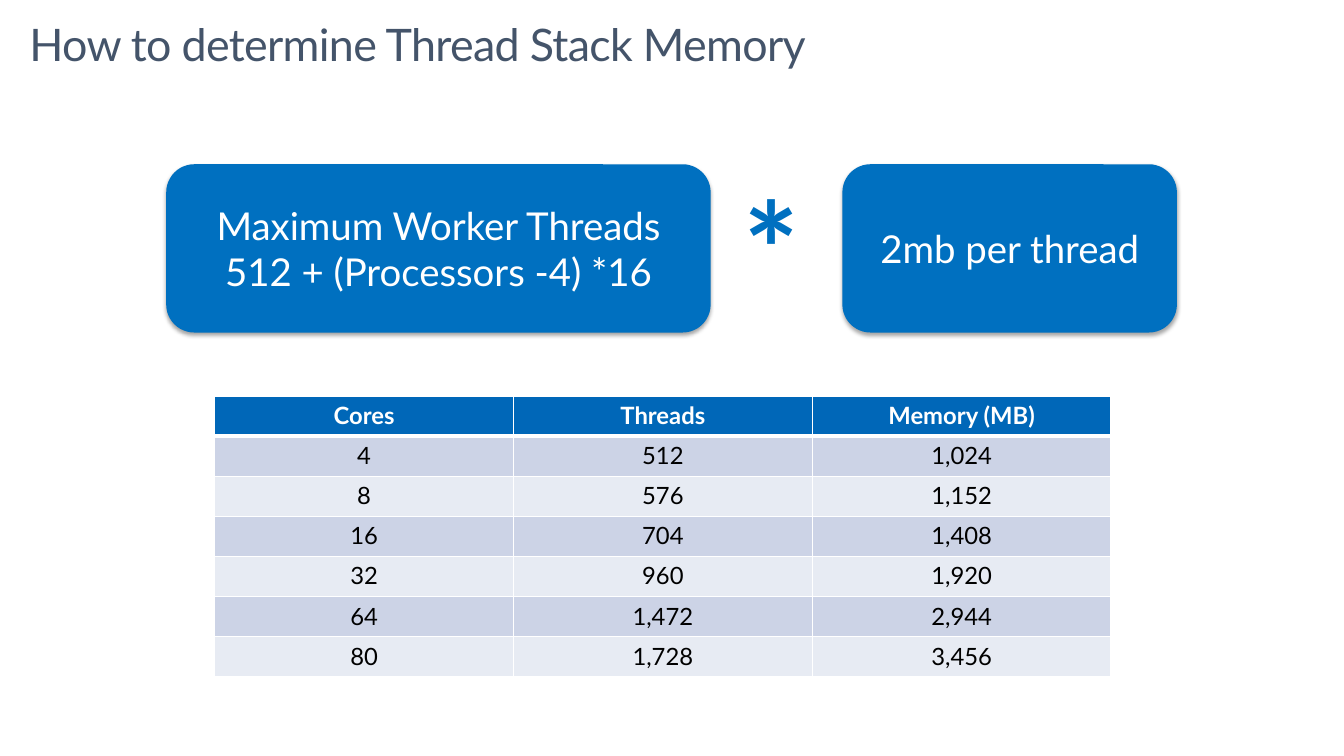
from pptx import Presentation
from pptx import util as u
from pptx.dml.color import RGBColor
from pptx.enum import shapes, text
from pptx.oxml import parse_xml
from pptx.oxml.ns import nsdecls, qn

TITLE_GREY = RGBColor(0x44, 0x54, 0x6A)
BOX_BLUE = RGBColor(0x00, 0x70, 0xC0)
HEADER_BLUE = RGBColor(0x00, 0x67, 0xB8)
BAND_DARK = RGBColor(0xCC, 0xD3, 0xE6)
BAND_LIGHT = RGBColor(0xE7, 0xEB, 0xF3)
WHITE = RGBColor(0xFF, 0xFF, 0xFF)
BLACK = RGBColor(0x00, 0x00, 0x00)

FONT = "Lato"
CENTER = text.PP_ALIGN.CENTER
HEADERS = ("Cores", "Threads", "Memory (MB)")
CORES = (4, 8, 16, 32, 64, 80)
BASE_THREADS, BASE_CORES, THREADS_PER_CORE, MB_PER_THREAD = 512, 4, 16, 2


def apply_format(target, values):
    for name, value in values.items():
        setattr(target, name, value)


def write_lines(frame, lines, size, color, bold=False, align=CENTER):
    for index, line in enumerate(lines):
        para = frame.add_paragraph() if index else frame.paragraphs[0]
        para.alignment = align
        span = para.add_run()
        span.text = line
        apply_format(span.font, {"name": FONT, "size": u.Pt(size), "bold": bold})
        span.font.color.rgb = color


def format_title(page, wording):
    title = page.shapes.title
    apply_format(title, {"left": u.Cm(0.74), "top": u.Cm(0.51),
                         "width": u.Cm(32.39), "height": u.Cm(2.49)})
    frame = title.text_frame
    apply_format(frame, {"margin_left": 0, "margin_top": 0, "margin_right": 0,
                         "margin_bottom": 0, "word_wrap": True,
                         "vertical_anchor": text.MSO_ANCHOR.TOP})
    write_lines(frame, [wording], 32, TITLE_GREY, align=text.PP_ALIGN.LEFT)
    para = frame.paragraphs[0]
    para.line_spacing = u.Pt(36.2)
    para.runs[0]._r.get_or_add_rPr().set("spc", "-50")


def add_soft_shadow(shape):
    shape.shadow.inherit = False
    effects = shape._element.spPr.find(qn("a:effectLst"))
    effects.append(parse_xml(
        f'<a:outerShdw {nsdecls("a")} blurRad="{u.Pt(3.1)}" dist="{u.Pt(1.8)}" '
        'dir="5400000" algn="t" rotWithShape="0"><a:srgbClr val="000000">'
        '<a:alpha val="35000"/></a:srgbClr></a:outerShdw>'))


def add_formula_box(page, left, width, lines):
    box = page.shapes.add_shape(shapes.MSO_SHAPE.ROUNDED_RECTANGLE, u.Cm(left),
                                u.Cm(4.14), u.Cm(width), u.Cm(4.24))
    box.fill.solid()
    box.fill.fore_color.rgb = BOX_BLUE
    box.line.fill.background()
    add_soft_shadow(box)
    apply_format(box.text_frame, {"word_wrap": True,
                                  "vertical_anchor": text.MSO_ANCHOR.MIDDLE})
    write_lines(box.text_frame, lines, 27.4, WHITE)


def add_multiply_sign(page):
    box = page.shapes.add_textbox(u.Cm(18.24), u.Cm(4.11), u.Cm(2.41), u.Cm(4.27))
    box.text_frame.word_wrap = True
    write_lines(box.text_frame, ["*"], 94.1, BOX_BLUE, bold=True)


def add_cell_borders(cell, widths):
    properties = cell._tc.get_or_add_tcPr()
    for side, width in widths.items():
        properties.append(parse_xml(
            f'<a:ln{side} {nsdecls("a")} w="{u.Pt(width)}"><a:solidFill>'
            f'<a:srgbClr val="{WHITE}"/></a:solidFill></a:ln{side}>'))


def add_memory_table(page):
    rows = [HEADERS]
    for cores in CORES:
        threads = BASE_THREADS + (cores - BASE_CORES) * THREADS_PER_CORE
        rows.append((str(cores), f"{threads:,}", f"{threads * MB_PER_THREAD:,}"))
    table = page.shapes.add_table(len(rows), len(HEADERS), u.Cm(5.41), u.Cm(9.98),
                                  u.Cm(22.59), u.Cm(7.07)).table
    for column in table.columns:
        column.width = u.Cm(7.53)
    for r, values in enumerate(rows):
        table.rows[r].height = u.Cm(1.01)
        header = r == 0
        fill = HEADER_BLUE if header else (BAND_LIGHT, BAND_DARK)[r % 2]
        for c, value in enumerate(values):
            cell = table.cell(r, c)
            add_cell_borders(cell, {"L": 1, "R": 1, "T": 3 if r == 1 else 1,
                                    "B": 3 if header else 1})
            cell.fill.solid()
            cell.fill.fore_color.rgb = fill
            write_lines(cell.text_frame, [value], 17,
                        WHITE if header else BLACK, bold=header)


def main():
    deck = Presentation()
    apply_format(deck, {"slide_width": u.Cm(33.87), "slide_height": u.Cm(19.05)})
    page = deck.slides.add_slide(deck.slide_layouts[5])
    format_title(page, "How to determine Thread Stack Memory")
    add_formula_box(page, 4.19, 13.72,
                    ["Maximum Worker Threads", "512 + (Processors -4) *16"])
    add_multiply_sign(page)
    add_memory_table(page)
    add_formula_box(page, 21.23, 8.43, ["2mb per thread"])
    deck.save("out.pptx")


if __name__ == "__main__":
    main()
